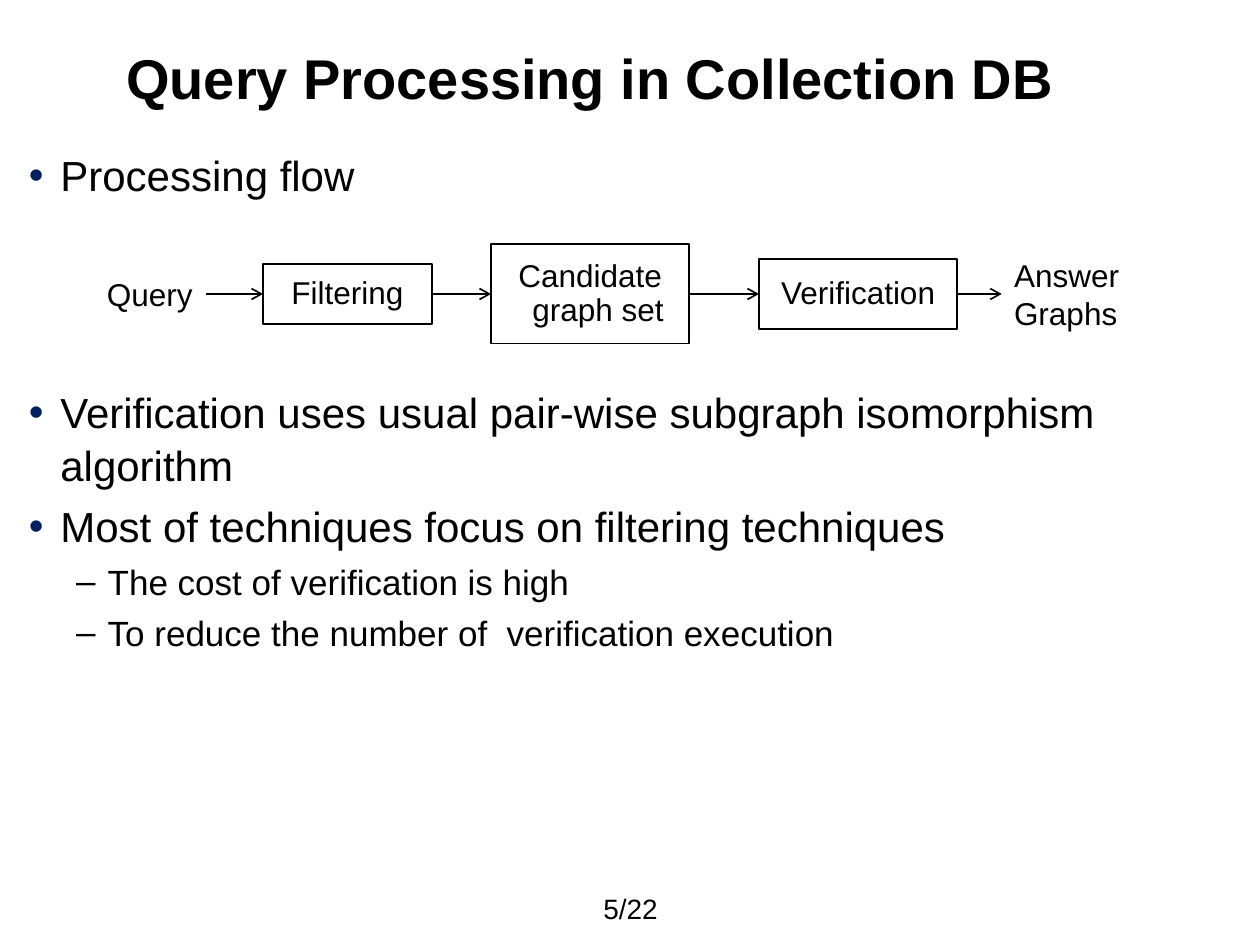
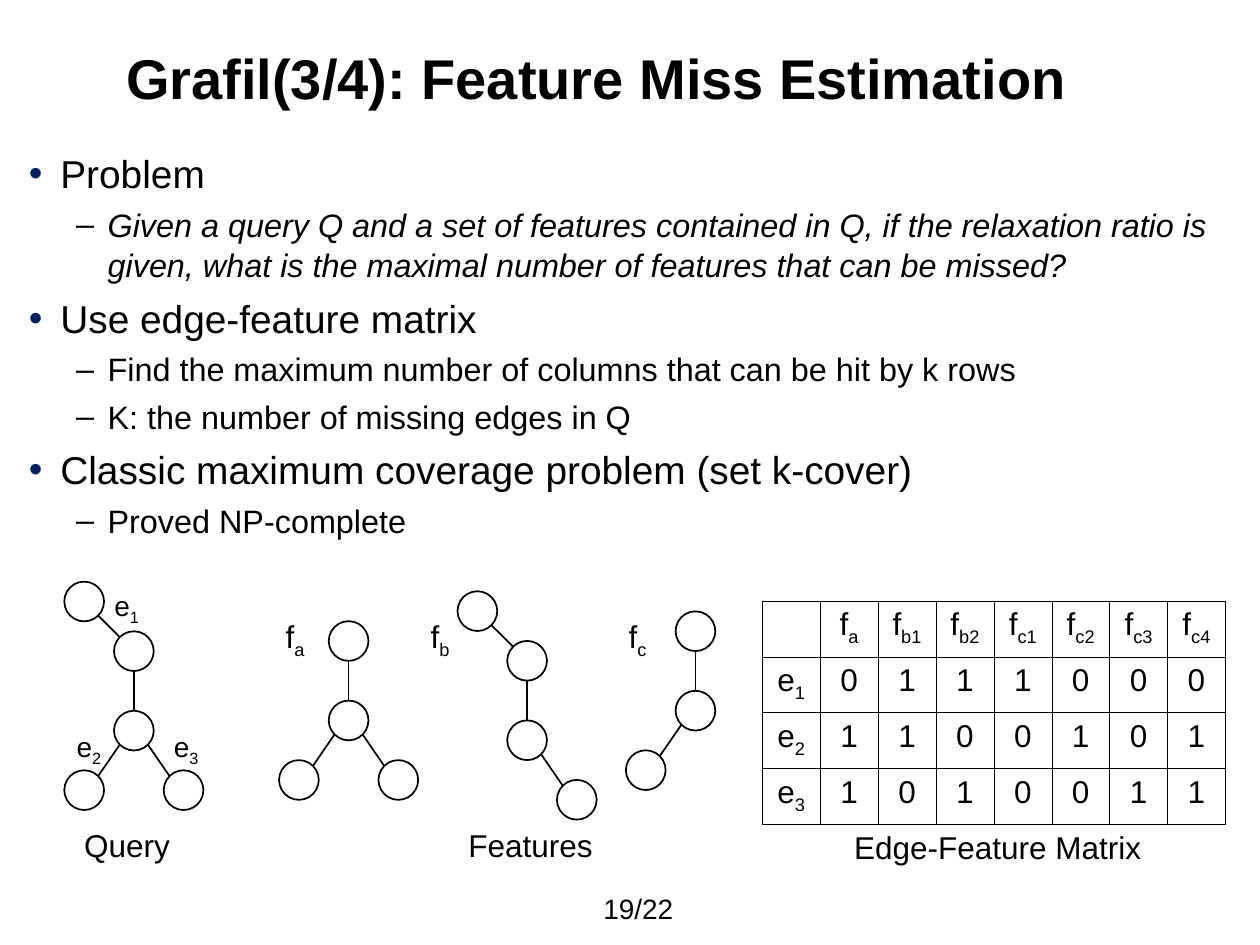
from math import sqrt

from lxml.etree import SubElement
from pptx import Presentation
from pptx.dml.color import RGBColor
from pptx.enum.shapes import MSO_CONNECTOR, MSO_SHAPE
from pptx.enum.text import MSO_ANCHOR, MSO_AUTO_SIZE, PP_ALIGN
from pptx.oxml.ns import qn
from pptx.util import Pt

BLACK = RGBColor(0x00, 0x00, 0x00)
NAVY = RGBColor(0x00, 0x20, 0x60)
FONT = "Arial"
PAGE_COUNT = 22
BODY_LEFT, BODY_TOP, BODY_WIDTH = 16.5, 84.2, 686
LINE_SPACING = 1.05
BULLETS = (("•", NAVY, 18, -18), ("–", BLACK, 45, -18))

NODE = 22.7
STEP, DOWN, LEG = 28.4, 45.4, 34


class SlideBuilder:
    def __init__(self, deck):
        self.deck = deck
        self.page = None

    def start_page(self, title, number):
        self.page = self.deck.slides.add_slide(self.deck.slide_layouts[6])
        self.text_box(65, 21, 597, 46, [title], 32, bold=True, wrap=True, anchor=MSO_ANCHOR.MIDDLE)
        self.text_box(337.7, 508.3, 62, 21, [f"{number}/{PAGE_COUNT}"], 16, wrap=True,
                      anchor=MSO_ANCHOR.MIDDLE)

    def style_font(self, paragraph, size, bold=False, italic=False):
        font = paragraph.font
        font.name, font.size, font.bold, font.italic = FONT, Pt(size), bold, italic
        font.color.rgb = BLACK

    def set_text(self, paragraph, text, size, bold=False):
        base, _, subscript = text.partition("_")
        paragraph.text = base
        if subscript:
            span = paragraph.add_run()
            span.text = subscript
            span._r.get_or_add_rPr().set("baseline", "-25000")
        self.style_font(paragraph, size, bold)

    def text_box(self, left, top, width, height, lines, size=18, bold=False, wrap=False,
                 anchor=MSO_ANCHOR.TOP):
        box = self.page.shapes.add_textbox(Pt(left), Pt(top), Pt(width), Pt(height))
        frame = box.text_frame
        frame.word_wrap = wrap
        frame.vertical_anchor = anchor
        frame.auto_size = MSO_AUTO_SIZE.NONE if wrap else MSO_AUTO_SIZE.SHAPE_TO_FIT_TEXT
        for index, line in enumerate(lines):
            para = frame.add_paragraph() if index else frame.paragraphs[0]
            self.set_text(para, line, size, bold)

    def bullet_list(self, top, height, items, sizes):
        box = self.page.shapes.add_textbox(Pt(BODY_LEFT), Pt(top), Pt(BODY_WIDTH), Pt(height))
        frame = box.text_frame
        frame.word_wrap = True
        frame.margin_left = frame.margin_top = frame.margin_right = frame.margin_bottom = 0
        for index, (level, text, *italic) in enumerate(items):
            para = frame.add_paragraph() if index else frame.paragraphs[0]
            mark, color, margin, indent = BULLETS[level]
            para.level = level
            para.line_spacing = LINE_SPACING
            para.space_before = Pt(sizes[level] * 0.2 if index else 0)
            properties = para._p.get_or_add_pPr()
            properties.set("marL", str(Pt(margin)))
            properties.set("indent", str(Pt(indent)))
            bullet_color = SubElement(properties, qn("a:buClr"))
            SubElement(bullet_color, qn("a:srgbClr"), val=str(color))
            SubElement(properties, qn("a:buFont"), typeface=FONT)
            SubElement(properties, qn("a:buChar"), char=mark)
            para.text = text
            self.style_font(para, sizes[level], italic=bool(italic))

    def outline(self, shapes, kind, left, top, width, height):
        shape = shapes.add_shape(kind, Pt(left), Pt(top), Pt(width), Pt(height))
        shape.shadow.inherit = False
        shape.fill.background()
        shape.line.color.rgb = BLACK
        shape.line.width = Pt(1)
        return shape

    def stage(self, left, middle, width, height, text):
        shape = self.outline(self.page.shapes, MSO_SHAPE.RECTANGLE, left, middle - height / 2,
                             width, height)
        frame = shape.text_frame
        frame.word_wrap = False
        frame.vertical_anchor = MSO_ANCHOR.MIDDLE
        para = frame.paragraphs[0]
        para.alignment = PP_ALIGN.CENTER
        para.line_spacing = 0.9
        properties = para._p.get_or_add_pPr()
        properties.set("marL", str(Pt(9)))
        properties.set("indent", str(Pt(-9)))
        self.set_text(para, text, 18)
        return shape

    def line(self, shapes, start, end, arrow=False):
        points = [Pt(value) for value in (*start, *end)]
        connector = shapes.add_connector(MSO_CONNECTOR.STRAIGHT, *points)
        connector.line.color.rgb = BLACK
        connector.line.width = Pt(1)
        properties = connector._element.spPr
        if arrow:
            SubElement(properties.get_or_add_ln(), qn("a:tailEnd"), type="arrow")
        SubElement(properties, qn("a:effectLst"))
        return connector

    def tree(self, root, branches):
        shapes = self.page.shapes.add_group_shape().shapes
        centers = [root]
        for parent, across, down in branches:
            x, y = centers[parent]
            centers.append((x + across, y + down))
        for x, y in centers:
            self.outline(shapes, MSO_SHAPE.OVAL, x - NODE / 2, y - NODE / 2, NODE, NODE)
        for (parent, across, _), (x, y) in zip(branches, centers[1:]):
            parent_x, parent_y = centers[parent]
            reach = NODE / 2 / sqrt(2) if across else NODE / 2
            shift = (across > 0) * reach - (across < 0) * reach
            self.line(shapes, (parent_x + shift, parent_y + reach), (x - shift, y - reach))

    def matrix(self, left, top, column_width, row_height, rows):
        row_count, column_count = len(rows), len(rows[0])
        frame = self.page.shapes.add_table(row_count, column_count, Pt(left), Pt(top),
                                           Pt(column_width * column_count),
                                           Pt(row_height * row_count))
        table = frame.table
        table.first_row = table.horz_banding = False
        for column in table.columns:
            column.width = Pt(column_width)
        for row, texts in zip(table.rows, rows):
            row.height = Pt(row_height)
            for cell, text in zip(row.cells, texts):
                cell.margin_left = cell.margin_right = 0
                para = cell.text_frame.paragraphs[0]
                para.alignment = PP_ALIGN.CENTER
                self.set_text(para, text, 18)
                properties = cell._tc.get_or_add_tcPr()
                for side in ("lnL", "lnR", "lnT", "lnB"):
                    border = SubElement(properties, qn(f"a:{side}"), w=str(Pt(0.25)))
                    fill = SubElement(border, qn("a:solidFill"))
                    SubElement(fill, qn("a:srgbClr"), val=str(BLACK))
                cell.fill.background()


def build_processing_flow(builder):
    builder.start_page("Query Processing in Collection DB", 5)
    sizes = (24, 20)
    builder.bullet_list(BODY_TOP, 30, [(0, "Processing flow")], sizes)
    builder.bullet_list(219.5, 258, [
        (0, "Verification uses usual pair-wise subgraph isomorphism algorithm"),
        (0, "Most of techniques focus on filtering techniques"),
        (1, "The cost of verification is high"),
        (1, "To reduce the number of  verification execution"),
    ], sizes)

    middle = 168
    builder.text_box(54, 153.5, 64, 29, ["Query"])
    stages = [builder.stage(left, middle, width, height, text) for left, width, height, text in (
        (150.3, 96.5, 34.6, "Filtering"),
        (280.6, 113.3, 56.8, "Candidate\ngraph set"),
        (433.7, 113.3, 40.4, "Verification"),
    )]
    builder.text_box(572.4, 142.6, 75, 51, ["Answer", "Graphs"])
    for source, target in zip([None, *stages], [*stages, None]):
        arrow = builder.line(builder.page.shapes, (118, middle), (572.4, middle), arrow=True)
        if source:
            arrow.begin_connect(source, 3)
        if target:
            arrow.end_connect(target, 1)


def build_feature_miss(builder):
    builder.start_page("Grafil(3/4): Feature Miss Estimation", 19)
    builder.bullet_list(BODY_TOP, 225, [
        (0, "Problem"),
        (1, "Given a query Q and a set of features contained in Q, if the relaxation ratio is "
            "given, what is the maximal number of features that can be missed?", "italic"),
        (0, "Use edge-feature matrix"),
        (1, "Find the maximum number of columns that can be hit by k rows"),
        (1, "K: the number of missing edges in Q"),
        (0, "Classic maximum coverage problem (set k-cover)"),
        (1, "Proved NP-complete"),
    ], (22.2, 18.5))

    trunk = [(0, STEP, STEP), (1, 0, DOWN)]
    builder.tree((48.1, 343.7), trunk + [(2, -STEP, LEG), (2, STEP, LEG)])
    builder.tree((199.2, 366.3), [(0, 0, DOWN), (1, -STEP, LEG), (1, STEP, LEG)])
    builder.tree((272.8, 349.2), trunk + [(2, STEP, LEG)])
    builder.tree((397.4, 360.7), [(0, 0, DOWN), (1, -STEP, LEG)])

    for left, top, text in ((58.3, 332.6, "e_1"), (36.7, 413.3, "e_2"), (92.2, 413.3, "e_3")):
        builder.text_box(left, top, 29.5, 26.6, [text], 16)
    for left, text in ((156.2, "f_a"), (239, "f_b"), (352.1, "f_c")):
        builder.text_box(left, 349.2, 26, 29, [text])
    for left, top, width, text in ((41, 468.7, 64, "Query"), (260.6, 468.7, 86.4, "Features"),
                                   (481, 469.4, 180, "Edge-Feature Matrix")):
        builder.text_box(left, top, width, 29, [text])

    builder.matrix(435.6, 343.4, 33.1, 31.9, [
        ["", "f_a", "f_b1", "f_b2", "f_c1", "f_c2", "f_c3", "f_c4"],
        ["e_1", *"0111000"],
        ["e_2", *"1100101"],
        ["e_3", *"1010011"],
    ])


def main():
    deck = Presentation()
    deck.slide_width, deck.slide_height = Pt(720), Pt(540)
    builder = SlideBuilder(deck)
    build_processing_flow(builder)
    build_feature_miss(builder)
    deck.save("out.pptx")


if __name__ == "__main__":
    main()
